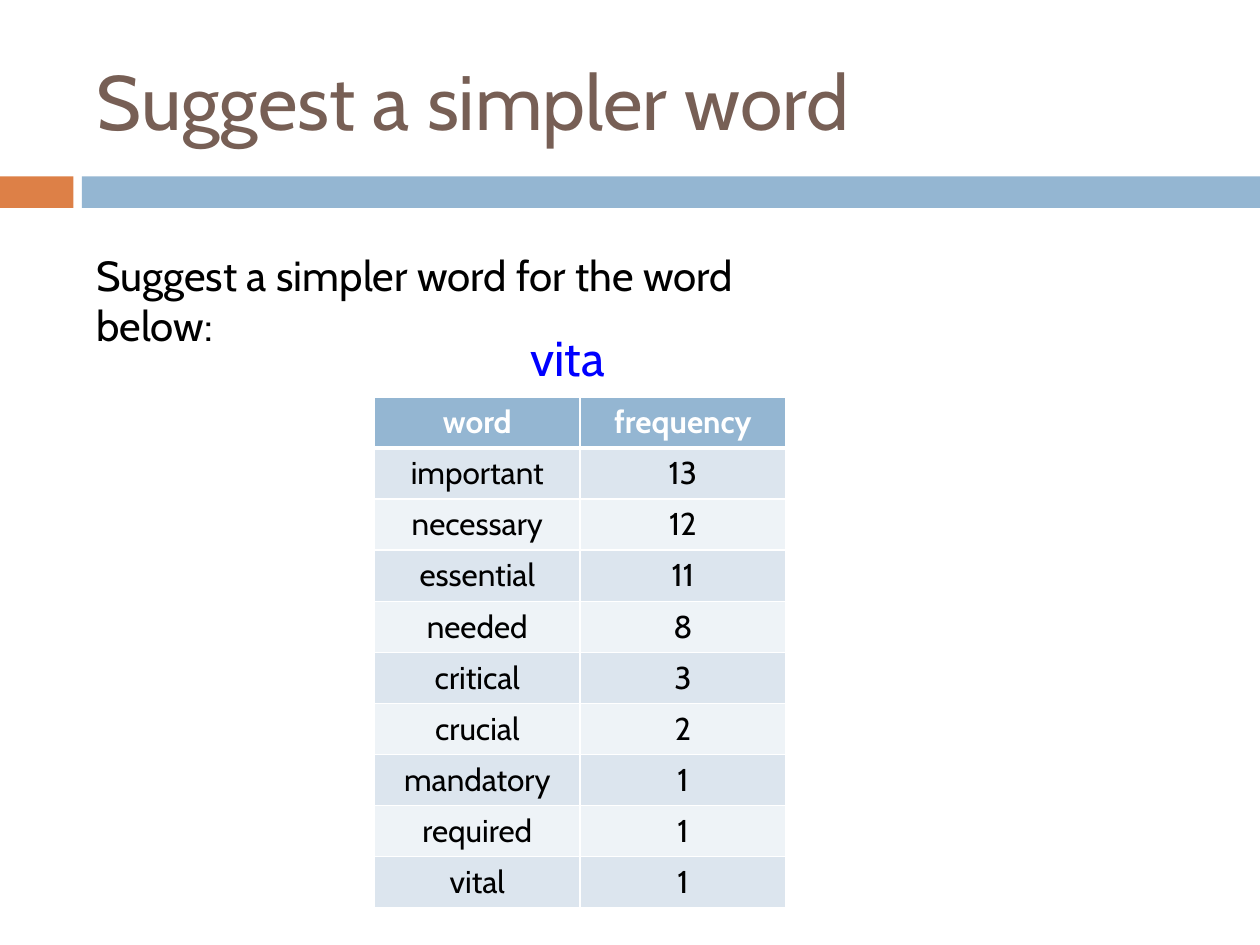
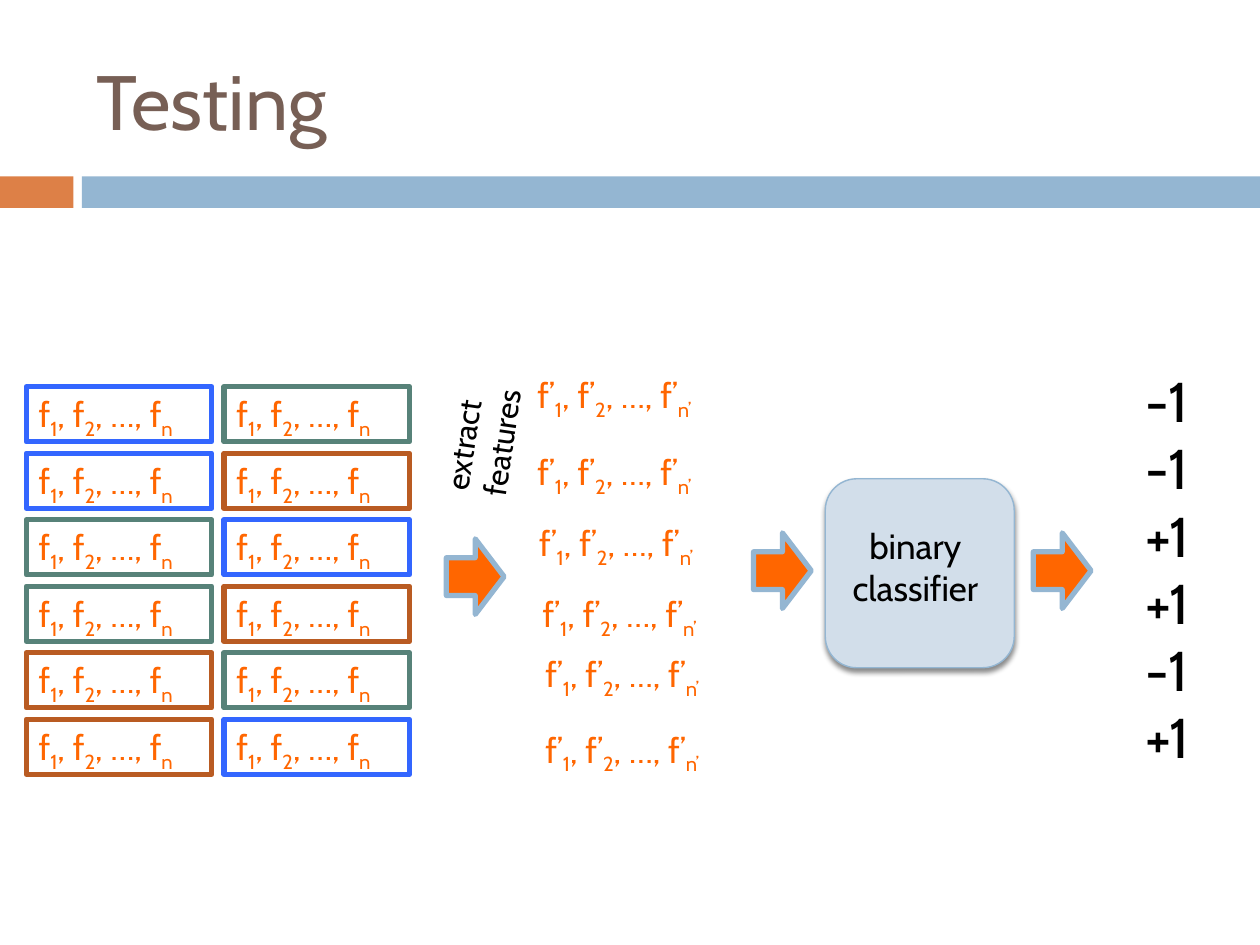
import pptx
import pptx.util
import pptx.dml.color
import pptx.enum.shapes
import pptx.enum.text
import pptx.oxml
import pptx.oxml.ns
from dataclasses import dataclass

Pt = pptx.util.Pt
SHAPES = pptx.enum.shapes.MSO_SHAPE
ALIGN = pptx.enum.text.PP_ALIGN
ANCHOR = pptx.enum.text.MSO_ANCHOR
NAMESPACE = pptx.oxml.ns.nsdecls("a")


@dataclass(frozen=True)
class Theme:
    font: str = "Cabin"
    title: str = "775F55"
    text: str = "000000"
    white: str = "FFFFFF"
    accent: str = "DD8047"
    band: str = "94B6D2"
    row_dark: str = "DCE5EE"
    row_light: str = "EEF3F7"
    word: str = "0000FF"
    feature: str = "FF6600"
    classifier: str = "D2DEEA"
    blue: str = "3366FF"
    green: str = "578279"
    brown: str = "B95B22"
    title_size: int = 44
    result_size: int = 32
    word_size: int = 28
    body_size: int = 24
    feature_size: int = 20
    small_size: int = 18


THEME = Theme()


def rgb(color):
    return pptx.dml.color.RGBColor.from_string(color)


# Text: one paragraph per line; braces enclose subscripts
def write(frame, text, size=THEME.body_size, color=THEME.text, bold=False,
          align=ALIGN.LEFT, anchor=ANCHOR.TOP, wrap=True):
    frame.word_wrap = wrap
    frame.vertical_anchor = anchor
    for number, line in enumerate(text.split("\n")):
        paragraph = frame.add_paragraph() if number else frame.paragraphs[0]
        paragraph.alignment = align
        for index, part in enumerate(line.replace("}", "{").split("{")):
            if not part:
                continue
            run = paragraph.add_run()
            run.text = part
            run.font.name = THEME.font
            run.font.size = Pt(size)
            run.font.bold = bold
            run.font.color.rgb = rgb(color)
            if index % 2:
                run.font._element.set("baseline", "-25000")


def add_label(shapes, box, text, **text_format):
    label = shapes.add_textbox(*map(Pt, box))
    write(label.text_frame, text, **text_format)
    return label


def add_box(shapes, kind, box, fill=None, line=None, width=3):
    shape = shapes.add_shape(kind, *map(Pt, box))
    shape.shadow.inherit = False
    if fill:
        shape.fill.solid()
        shape.fill.fore_color.rgb = rgb(fill)
    else:
        shape.fill.background()
    if line:
        shape.line.color.rgb = rgb(line)
        shape.line.width = Pt(width)
    else:
        shape.line.fill.background()
    return shape


def add_titled_slide(deck, heading):
    slide = deck.slides.add_slide(deck.slide_layouts[5])
    title = slide.shapes.title
    title.left, title.top, title.width, title.height = map(Pt, (48, 18, 642, 78))
    write(title.text_frame, heading, size=THEME.title_size, color=THEME.title,
          anchor=ANCHOR.MIDDLE)
    # Two-part band below the title
    add_box(slide.shapes, SHAPES.RECTANGLE, (0, 100.8, 42, 18), THEME.accent)
    add_box(slide.shapes, SHAPES.RECTANGLE, (46.8, 100.8, 673.2, 18), THEME.band)
    return slide


# Table cells
def set_borders(cell, top=1, bottom=1):
    properties = cell._tc.get_or_add_tcPr()
    widths = {"lnL": 1, "lnR": 1, "lnT": top, "lnB": bottom}
    for position, (side, width) in enumerate(widths.items()):
        properties.insert(position, pptx.oxml.parse_xml(
            f'<a:{side} {NAMESPACE} w="{int(Pt(width))}"><a:solidFill>'
            f'<a:srgbClr val="{THEME.white}"/></a:solidFill></a:{side}>'))


def add_frequency_table(shapes, rows):
    table = shapes.add_table(len(rows), 2, Pt(214), Pt(226.8),
                             Pt(235), Pt(29.2 * len(rows))).table
    for r, row in enumerate(rows):
        header = r == 0
        fill = THEME.band if header else (THEME.row_light, THEME.row_dark)[r % 2]
        for c, value in enumerate(row):
            cell = table.cell(r, c)
            cell.fill.solid()
            cell.fill.fore_color.rgb = rgb(fill)
            set_borders(cell, top=3 if r == 1 else 1, bottom=3 if header else 1)
            write(cell.text_frame, str(value), size=THEME.small_size, bold=header,
                  color=THEME.white if header else THEME.text, align=ALIGN.CENTER)


# Parts of the testing pipeline
def add_example_pairs(shapes, pairs):
    for row, pair in enumerate(pairs):
        for column, color in enumerate(pair):
            box = (15 + 113 * column, 221 + 38 * row, 106, 31.5)
            example = add_box(shapes, SHAPES.RECTANGLE, box, line=color)
            write(example.text_frame, "f{1}, f{2}, …, f{n}",
                  size=THEME.feature_size, color=THEME.feature)


def add_arrow(shapes, left, top):
    arrow = add_box(shapes, SHAPES.DOWN_ARROW, (left, top, 43.2, 33),
                    THEME.feature, THEME.band)
    arrow.rotation = 270


def add_classifier(shapes):
    group = shapes.add_group_shape().shapes
    body = add_box(group, SHAPES.ROUNDED_RECTANGLE, (471.6, 273.6, 108, 108),
                   THEME.classifier, THEME.band, 0.79)
    effects = body._element.spPr.find(pptx.oxml.ns.qn("a:effectLst"))
    effects.append(pptx.oxml.parse_xml(
        f'<a:outerShdw {NAMESPACE} blurRad="{int(Pt(3))}" dist="{int(Pt(2.4))}" '
        'dir="5400000" rotWithShape="0"><a:srgbClr val="000000">'
        '<a:alpha val="45000"/></a:srgbClr></a:outerShdw>'))
    add_label(group, (466.6, 296, 113, 55.4), "binary classifier",
              size=THEME.feature_size, align=ALIGN.CENTER)


def build_word_slide(deck):
    shapes = add_titled_slide(deck, "Suggest a simpler word").shapes
    add_label(shapes, (48, 139, 438, 36), "Suggest a simpler word for the word below:")
    add_label(shapes, (296, 183.6, 62.6, 41), "vital", size=THEME.word_size,
              color=THEME.word, wrap=False)
    add_frequency_table(shapes, [
        ("word", "frequency"), ("important", 13), ("necessary", 12),
        ("essential", 11), ("needed", 8), ("critical", 3), ("crucial", 2),
        ("mandatory", 1), ("required", 1), ("vital", 1)])


def build_testing_slide(deck):
    shapes = add_titled_slide(deck, "Testing").shapes
    blue, green, brown = THEME.blue, THEME.green, THEME.brown
    add_example_pairs(shapes, [(blue, green), (blue, brown), (green, blue),
                               (green, brown), (brown, green), (brown, blue)])

    # Extracted features
    extract = add_label(shapes, (204.5, 208.8, 129, 29), "extract features",
                        size=THEME.small_size)
    extract.rotation = 278.4
    for left, top in ((300, 210), (300, 254), (301, 294.5),
                      (303, 335), (304.5, 369.5), (304.5, 412.5)):
        add_label(shapes, (left, top, 126, 31.5), "f’{1}, f’{2}, …, f’{n’}",
                  size=THEME.feature_size, color=THEME.feature)

    # Classifier and its results
    for left, top in ((250, 313), (425.5, 309.6), (585.4, 309.6)):
        add_arrow(shapes, left, top)
    add_classifier(shapes)
    add_label(shapes, (647.3, 206, 54, 240), "-1\n-1\n+1\n+1\n-1\n+1",
              size=THEME.result_size)


def main():
    deck = pptx.Presentation()
    deck.slide_width, deck.slide_height = Pt(720), Pt(540)
    build_word_slide(deck)
    build_testing_slide(deck)
    deck.save("out.pptx")


main()
